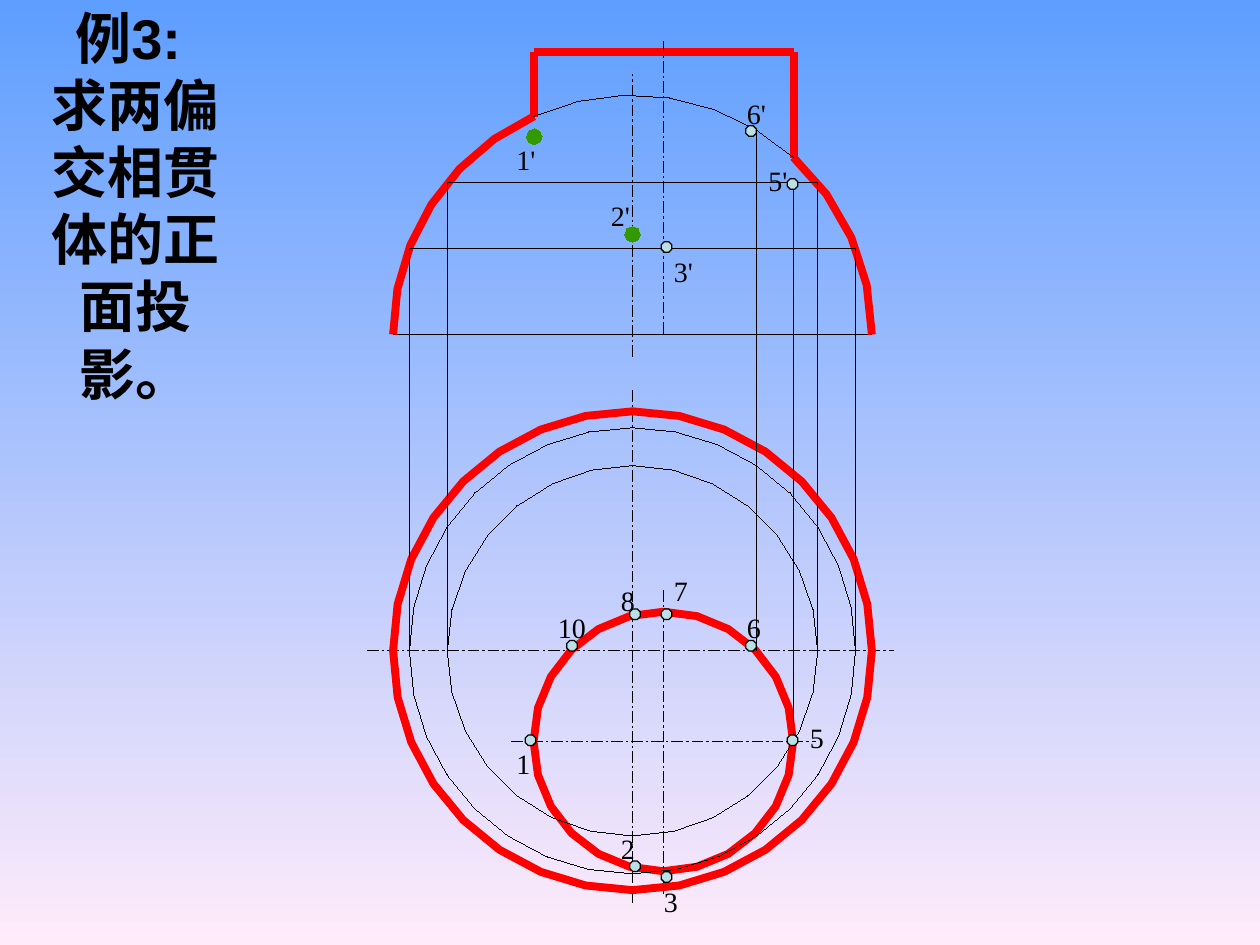
"""Draw the front and top views of two offset intersecting solids."""
from dataclasses import dataclass
from math import cos, radians, sin
from typing import NamedTuple, Optional

from lxml.etree import SubElement
from pptx import Presentation
from pptx.dml.color import RGBColor
from pptx.enum.dml import MSO_LINE
from pptx.enum.shapes import MSO_CONNECTOR, MSO_SHAPE
from pptx.enum.text import MSO_ANCHOR, PP_ALIGN
from pptx.oxml.ns import qn
from pptx.util import Inches, Pt

WIDTH, HEIGHT = Inches(10), Inches(7.5)
COLUMNS, ROWS = 1000, 750
HAIRLINE = 0.01


@dataclass(frozen=True)
class Pen:
    """Line style of a stroke."""
    color: str
    width: float = HAIRLINE
    dash: Optional[MSO_LINE] = None


@dataclass(frozen=True)
class Theme:
    """Colours, pens and type of the slide."""
    sky: str = "5E9EFF"
    blush: str = "FFEBFA"
    ink: str = "000000"
    known: str = "339900"
    marker: str = "BBE0E3"
    title_font: str = "Arial"
    label_font: str = "Times New Roman"
    title_size: int = 32
    label_size: int = 16
    thin: Pen = Pen("000000")
    axis: Pen = Pen("000000", HAIRLINE, MSO_LINE.LONG_DASH_DOT)
    outline: Pen = Pen("FF0000", 4.5)
    rim: Pen = Pen("000000", 0.75)


THEME = Theme()


class Segment(NamedTuple):
    """Straight stroke between two grid positions."""
    x1: float
    y1: float
    x2: float
    y2: float
    pen: Pen


class Arc(NamedTuple):
    """Faceted arc around a grid position, angles counterclockwise."""
    x: float
    y: float
    radius: float
    steps: int
    pen: Pen
    start: float = 0
    end: float = 360


class Point(NamedTuple):
    """Named point with its marker centre and label corner."""
    name: str
    x: float
    y: float
    label_x: float
    label_y: float
    known: bool = False


CENTER, OFFSET = 502, 526.5
BASE, MIDDLE, SMALL_MIDDLE = 265.5, 516.5, 588.5
LEFT, RIGHT, TOP = 424, 630, 41
RIGHT_ANGLE, LEFT_ANGLE = 47.8, 114.3
RADIUS, SMALL_RADIUS = 190, 103

STROKES = [
    Segment(CENTER - RADIUS, BASE, CENTER + RADIUS, BASE, THEME.thin),
    Segment(CENTER, 310, CENTER, 717, THEME.axis),
    Segment(292, MIDDLE, 709, MIDDLE, THEME.axis),
    Arc(OFFSET, SMALL_MIDDLE, SMALL_RADIUS, 24, THEME.outline),
    Arc(CENTER, MIDDLE, RADIUS, 32, THEME.outline),
    Arc(CENTER, BASE, RADIUS, 4, THEME.outline, 0, RIGHT_ANGLE),
    Segment(406, SMALL_MIDDLE, 647, SMALL_MIDDLE, THEME.axis),
    Segment(OFFSET, 469, OFFSET, 709, THEME.axis),
    Segment(LEFT, 93, LEFT, TOP, THEME.outline),
    Segment(LEFT, TOP, RIGHT, TOP, THEME.outline),
    Segment(RIGHT, TOP, RIGHT, 125, THEME.outline),
    Segment(CENTER, 283, CENTER, 59, THEME.axis),
    Segment(OFFSET, 33, OFFSET, BASE, THEME.axis),
    Arc(CENTER, BASE, RADIUS, 6, THEME.outline, LEFT_ANGLE, 180),
    Arc(CENTER, BASE, RADIUS, 6, THEME.thin, RIGHT_ANGLE, LEFT_ANGLE),
    Segment(RIGHT, SMALL_MIDDLE, RIGHT, 145, THEME.thin),
    Segment(600, MIDDLE, 600, 103, THEME.thin),
]
for section_radius, section_steps, section_height in ((177, 32, 197), (147, 28, 145)):
    near, far = CENTER - section_radius, CENTER + section_radius
    STROKES += [
        Arc(CENTER, MIDDLE, section_radius, section_steps, THEME.thin),
        Segment(near, MIDDLE, near, section_height, THEME.thin),
        Segment(near, section_height, far, section_height, THEME.thin),
        Segment(far, section_height, far, MIDDLE, THEME.thin),
    ]

POINTS = [
    Point("1", 421, 587.5, 400, 588),
    Point("2", 504, 687.5, 483, 655),
    Point("3", 529, 696, 517, 697),
    Point("5", 629, 587.5, 633, 567),
    Point("6", 596, 512.5, 583, 480),
    Point("7", 529, 487.5, 525, 450),
    Point("8", 504, 487.5, 483, 458),
    Point("10", 454, 512.5, 433, 480),
    Point("3'", 529, 196, 525, 197),
    Point("1'", 424, 108.5, 400, 108, True),
    Point("2'", 502, 186, 475, 153, True),
    Point("5'", 629, 146, 600, 125),
    Point("6'", 596, 104, 583, 72),
]


def across(columns: float) -> int:
    """Return the length of a number of grid columns."""
    return round(WIDTH * columns / COLUMNS)


def down(rows: float) -> int:
    """Return the length of a number of grid rows."""
    return round(HEIGHT * rows / ROWS)


def apply_style(shape, pen: Optional[Pen], fill: Optional[str]) -> None:
    """Set the fill and line of a shape and remove its shadow."""
    shape.shadow.inherit = False
    if fill is None:
        shape.fill.background()
    else:
        shape.fill.solid()
        shape.fill.fore_color.rgb = RGBColor.from_string(fill)
    apply_pen(shape.line, pen)


def apply_pen(line, pen: Optional[Pen]) -> None:
    """Style a line with a pen, or hide it without one."""
    if pen is None:
        line.fill.background()
        return
    line.color.rgb = RGBColor.from_string(pen.color)
    line.width = Pt(pen.width)
    if pen.dash is not None:
        line.dash_style = pen.dash


def draw_segment(slide, segment: Segment) -> None:
    """Draw a straight stroke without shadow."""
    connector = slide.shapes.add_connector(
        MSO_CONNECTOR.STRAIGHT, across(segment.x1), down(segment.y1),
        across(segment.x2), down(segment.y2))
    apply_pen(connector.line, segment.pen)
    SubElement(connector.element.spPr, qn("a:effectLst"))


def arc_vertices(arc: Arc) -> list[tuple[int, int]]:
    """Return the slide positions of the corners of an arc."""
    angles = [radians(arc.start + (arc.end - arc.start) * step / arc.steps)
              for step in range(arc.steps + 1)]
    return [(across(arc.x + arc.radius * cos(angle)),
             down(arc.y - arc.radius * sin(angle))) for angle in angles]


def draw_path(slide, vertices: list[tuple[int, int]], pen: Optional[Pen],
              fill: Optional[str] = None) -> None:
    """Draw a polyline, closed when it is filled."""
    builder = slide.shapes.build_freeform(*vertices[0])
    builder.add_line_segments(vertices[1:], close=fill is not None)
    apply_style(builder.convert_to_shape(), pen, fill)


def draw_known_dot(slide, point: Point) -> None:
    """Draw a dot as a fan of filled and outlined triangles."""
    pen = Pen(THEME.known)
    corners = arc_vertices(Arc(point.x, point.y, 6.2, 8, pen))
    for first, second in zip(corners, corners[1:]):
        triangle = [first, second, (across(point.x), down(point.y)), first]
        draw_path(slide, triangle, None, THEME.known)
        draw_path(slide, triangle, pen)


def add_text(slide, text: str, x: float, y: float, width: float, height: float,
             font_name: str, size: int):
    """Add a wrapping text box and return its text frame."""
    box = slide.shapes.add_textbox(across(x), down(y), across(width), down(height))
    frame = box.text_frame
    frame.word_wrap = True
    frame.text = text
    for run in frame.paragraphs[0].runs:
        run.font.name, run.font.size = font_name, Pt(size)
        run.font.color.rgb = RGBColor.from_string(THEME.ink)
    return frame


def draw_point(slide, point: Point) -> None:
    """Draw a marker and its label."""
    if point.known:
        draw_known_dot(slide, point)
    else:
        size = 8.4
        marker = slide.shapes.add_shape(
            MSO_SHAPE.OCTAGON, across(point.x - size / 2), down(point.y - size / 2),
            across(size), down(size))
        apply_style(marker, THEME.rim, THEME.marker)
    add_text(slide, point.name, point.label_x, point.label_y,
             50 if point.name in ("10", "2'") else 42, 37,
             THEME.label_font, THEME.label_size)


def draw_title(slide) -> None:
    """Draw the centred exercise title."""
    frame = add_text(slide, "例3: \v求两偏交相贯体的正面投影。", 23, 28, 170, 269,
                     THEME.title_font, THEME.title_size)
    frame.vertical_anchor = MSO_ANCHOR.MIDDLE
    paragraph = frame.paragraphs[0]
    paragraph.alignment = PP_ALIGN.CENTER
    paragraph._p.get_or_add_pPr().set("hangingPunct", "0")
    for run in paragraph.runs:
        run.font.bold = True


def main() -> None:
    """Build and save the slide."""
    presentation = Presentation()
    presentation.slide_width, presentation.slide_height = WIDTH, HEIGHT
    slide = presentation.slides.add_slide(presentation.slide_layouts[6])
    background = slide.background.fill
    background.gradient()
    background.gradient_angle = 270
    for stop, color in zip(background.gradient_stops, (THEME.sky, THEME.blush)):
        stop.color.rgb = RGBColor.from_string(color)
    for stroke in STROKES:
        if isinstance(stroke, Arc):
            draw_path(slide, arc_vertices(stroke), stroke.pen)
        else:
            draw_segment(slide, stroke)
    for point in POINTS:
        draw_point(slide, point)
    draw_title(slide)
    presentation.save("out.pptx")


if __name__ == "__main__":
    main()
